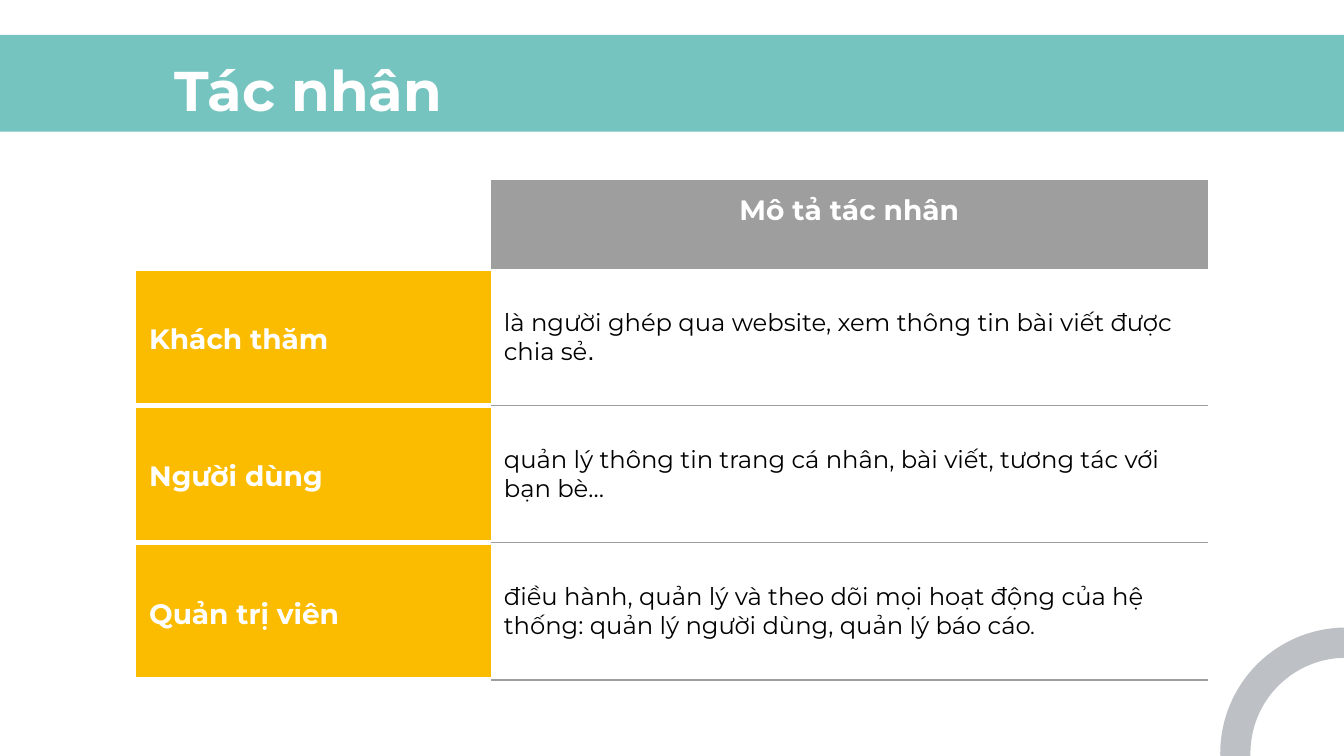
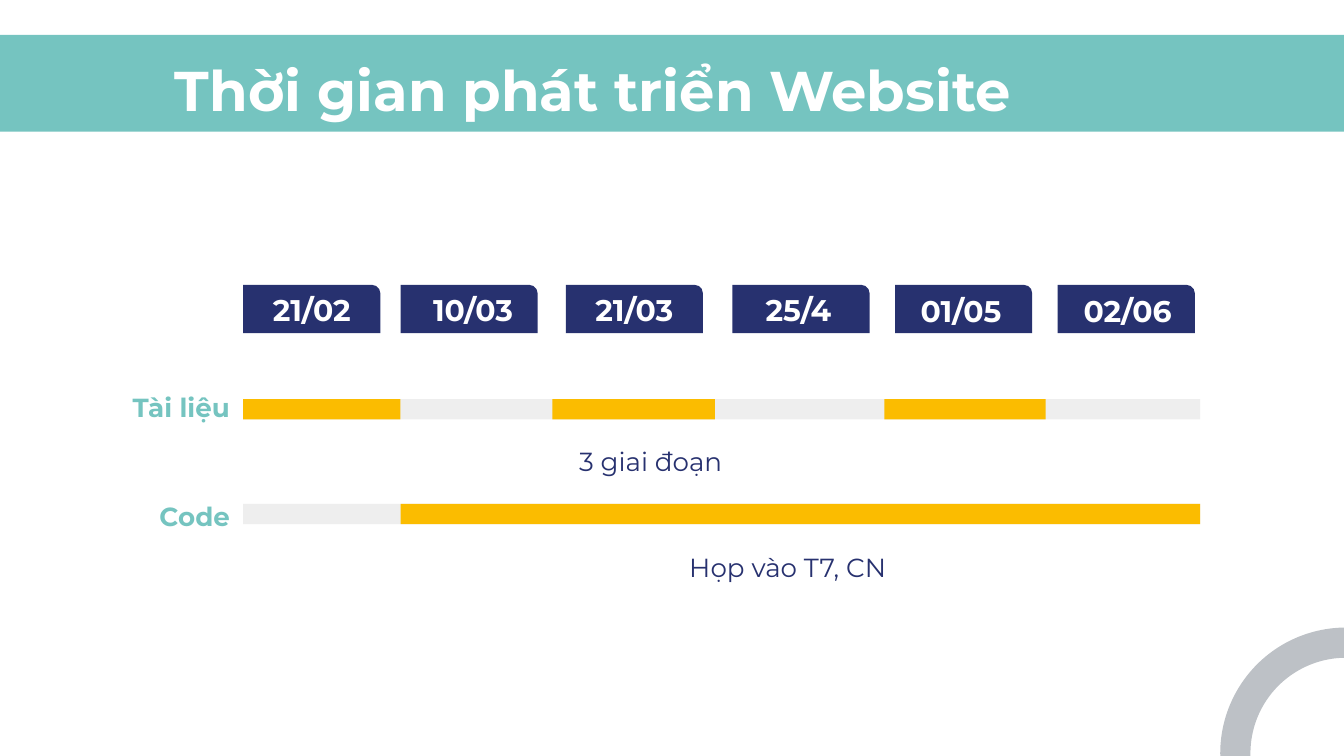
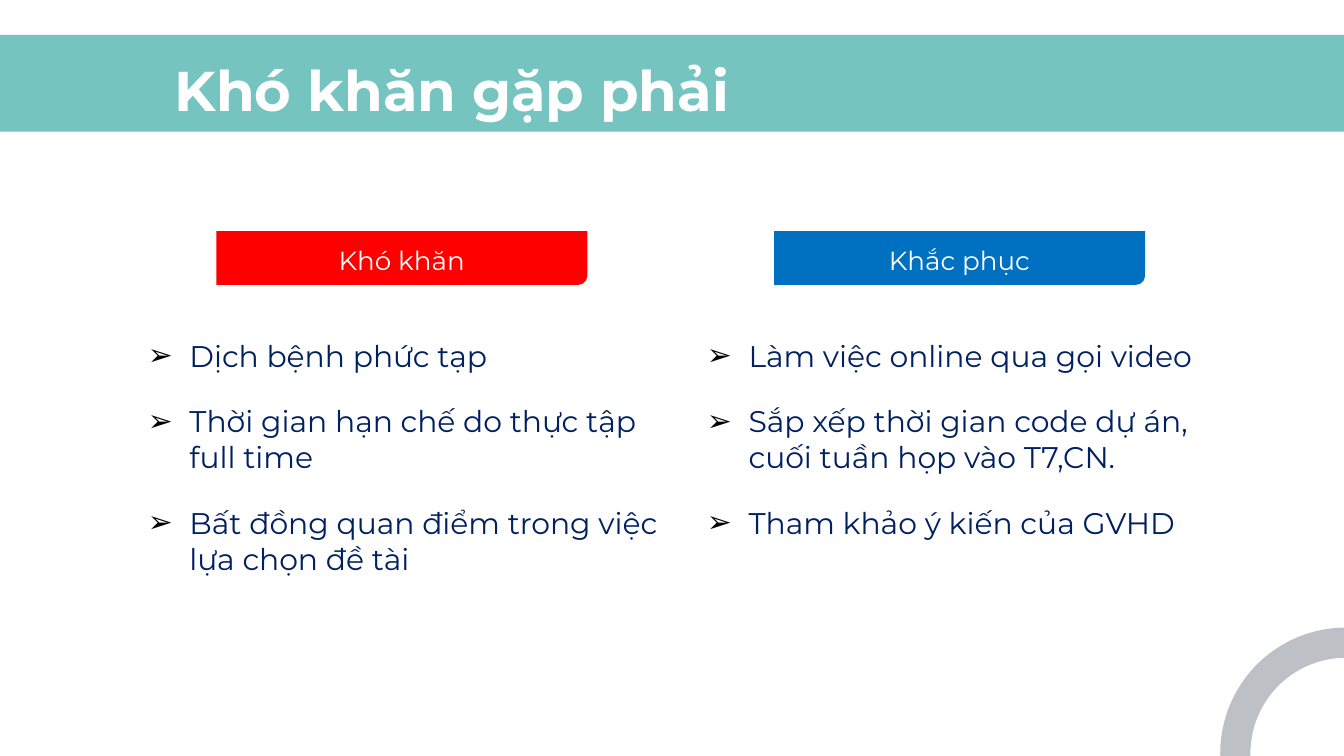
"""Build three project slides: actors, website schedule and difficulties."""
import lxml.etree
import pptx
import pptx.dml.color
import pptx.enum.shapes
import pptx.enum.text
import pptx.oxml.ns
import pptx.util

Inches = pptx.util.Inches
Pt = pptx.util.Pt
ALIGN = pptx.enum.text.PP_ALIGN
ANCHOR = pptx.enum.text.MSO_ANCHOR
SHAPE = pptx.enum.shapes.MSO_SHAPE

COLORS = {
    "teal": "75C4C0", "silver": "BDC1C6", "white": "FFFFFF", "black": "000000",
    "gray": "9E9E9E", "pale": "EEEEEE", "yellow": "FBBC00", "navy": "27316F",
    "ink": "002060", "red": "FF0000", "blue": "0070C0",
}
FONT = "Montserrat"
INSET = 0.1
SLIDE_WIDTH = Inches(10)
SLIDE_HEIGHT = SLIDE_WIDTH * 9 // 16

TITLE = {"size": Pt(30), "color": "white", "bold": True}
HEADING = {"size": Pt(15), "color": "white", "bold": True}
DESCRIPTION = {"size": Pt(13), "color": "black", "bold": False}
DATE = {"size": Pt(16), "color": "white", "bold": True}
ROW_NAME = {"size": Pt(14), "color": "teal", "bold": True}
NOTE = {"size": Pt(14), "color": "navy"}
BANNER = {"size": Pt(14), "color": "white"}
ITEM = {"size": Pt(16), "color": "ink"}

ACTORS_TITLE = "Tác nhân"
ACTORS_HEADING = "Mô tả tác nhân"
ACTORS = [
    ("Khách thăm", [
        ("là người ghép qua website, xem thông tin bài viết được chia sẻ", {}),
        (".", {"size": Pt(14), "name": "Arial"})]),
    ("Người dùng", [
        ("quản lý thông tin trang cá nhân, bài viết, tương tác với bạn bè…", {})]),
    ("Quản trị viên", [
        ("điều hành, quản lý và theo dõi mọi hoạt động của hệ thống: "
         "quản lý người dùng, quản lý báo cáo", {}),
        (".", {"size": Pt(12)})]),
]
COLUMN_WIDTHS = [2.64, 5.34]
ROW_HEIGHTS = [0.66, 1.02, 1.02, 1.02]

SCHEDULE_TITLE = "Thời gian phát triển Website"
DATES = [
    ("21/02", 1.81, 1.81, 2.07), ("10/03", 2.98, 3.01, 2.07),
    ("21/03", 4.21, 4.21, 2.07), ("25/4", 5.45, 5.43, 2.07),
    ("01/05", 6.66, 6.64, 2.08), ("02/06", 7.87, 7.88, 2.08),
]
TRACK_LEFT, TRACK_WIDTH = 1.81, 7.12
TRACKS = [
    {"name": "Tài liệu", "top": 2.97, "label": (0.68, 2.81, 1.13, 0.39), "spacing": 1.0,
     "periods": [(1.81, 1.17), (4.11, 1.21), (6.58, 1.2)],
     "note": "3 giai đoạn", "note_box": (4.21, 3.26, 1.38, 0.34)},
    {"name": "Code", "top": 3.75, "label": (0.86, 3.59, 0.95, 0.39), "spacing": 1.15,
     "periods": [(2.98, 5.95)],
     "note": "Họp vào T7, CN", "note_box": (5.03, 4.05, 1.85, 0.34)},
]

PROBLEMS_TITLE = "Khó khăn gặp phải"
PROBLEM_COLUMNS = [
    ("Khó khăn", "red", 1.61, 1.1, [
        "Dịch bệnh phức tạp",
        "Thời gian hạn chế do thực tập full time",
        "Bất đồng quan điểm trong việc lựa chọn đề tài"]),
    ("Khắc phục", "blue", 5.76, 5.26, [
        "Làm việc online qua gọi video",
        "Sắp xếp thời gian code dự án, cuối tuần họp vào T7,CN.",
        "Tham khảo ý kiến của GVHD"]),
]


def rgb(color):
    return pptx.dml.color.RGBColor.from_string(COLORS[color])


def set_values(target, values):
    for name, value in values.items():
        setattr(target, name, value)


def place(shape, box):
    set_values(shape, dict(zip(("left", "top", "width", "height"), map(Inches, box))))


def format_font(font, values):
    values = {"name": FONT, **values}
    font.color.rgb = rgb(values.pop("color"))
    set_values(font, values)


def write_runs(paragraph, runs, style, layout=None):
    set_values(paragraph, layout or {})
    for text, changes in runs:
        run = paragraph.add_run()
        run.text = text
        format_font(run.font, {**style, **changes})


def set_margins(target, left=INSET):
    set_values(target, {"margin_left": Inches(left), "margin_top": Inches(INSET),
                        "margin_right": Inches(INSET), "margin_bottom": Inches(INSET)})


def prepare_frame(frame, left=INSET, anchor=ANCHOR.TOP):
    set_margins(frame, left)
    set_values(frame, {"word_wrap": True, "vertical_anchor": anchor,
                       "auto_size": pptx.enum.text.MSO_AUTO_SIZE.NONE})


def add_label(slide, text, box, style, layout, anchor=ANCHOR.TOP):
    frame = slide.shapes.add_textbox(*map(Inches, box)).text_frame
    prepare_frame(frame, anchor=anchor)
    write_runs(frame.paragraphs[0], [(text, {})], style, layout)


def add_block(slide, kind, box, color, adjustments=()):
    shape = slide.shapes.add_shape(kind, *map(Inches, box))
    shape.shadow.inherit = False
    shape.fill.solid()
    shape.fill.fore_color.rgb = rgb(color)
    shape.line.fill.background()
    for index, value in enumerate(adjustments):
        shape.adjustments[index] = value
    return shape


def add_slide(presentation, layout_name, title):
    layout = presentation.slide_layouts.get_by_name(layout_name)
    slide = presentation.slides.add_slide(layout)
    place(slide.shapes.title, (1.2, 0.31, 8.46, 0.63))
    frame = slide.shapes.title.text_frame
    prepare_frame(frame)
    write_runs(frame.paragraphs[0], [(title, {})], TITLE, {"alignment": ALIGN.LEFT})
    return slide


def decorate_master(presentation, slide):
    band = add_block(slide, SHAPE.RECTANGLE, (-0.17, 0.26, 10.34, 0.72), "teal")
    arc = add_block(slide, SHAPE.BLOCK_ARC, (9.08, 4.67, 1.87, 1.87), "silver",
                    (106.77, 163.22, 0.12))
    master_title = presentation.slide_master.placeholders[0].element
    for shape in (band, arc):
        master_title.addprevious(shape.element)


def add_child(parent, tag, **attributes):
    return lxml.etree.SubElement(parent, pptx.oxml.ns.qn(tag), attributes)


def set_borders(cell, borders):
    properties = cell._tc.get_or_add_tcPr()
    for position, side in enumerate("LRTB"):
        color, width = borders.get(side, (None, 0))
        line = add_child(properties, f"a:ln{side}", w=str(Pt(width)))
        if color:
            add_child(add_child(line, "a:solidFill"), "a:srgbClr", val=COLORS[color])
        else:
            add_child(line, "a:noFill")
        properties.insert(position, line)


def fill_cell(cell, color, borders, runs, style, layout, anchor=ANCHOR.MIDDLE):
    set_margins(cell)
    cell.vertical_anchor = anchor
    if color:
        cell.fill.solid()
        cell.fill.fore_color.rgb = rgb(color)
    else:
        cell.fill.background()
    set_borders(cell, borders)
    write_runs(cell.text_frame.paragraphs[0], runs, style, layout)


def fill_actors(slide):
    box = (1.01, 1.34, sum(COLUMN_WIDTHS), sum(ROW_HEIGHTS))
    table = slide.shapes.add_table(len(ROW_HEIGHTS), len(COLUMN_WIDTHS),
                                   *map(Inches, box)).table
    set_values(table, {"first_row": False, "horz_banding": False})
    for column, width in zip(table.columns, COLUMN_WIDTHS):
        column.width = Inches(width)
    for row, height in zip(table.rows, ROW_HEIGHTS):
        row.height = Inches(height)
    thick, thin = ("white", 3), ("gray", 0.75)
    fill_cell(table.cell(0, 0), None, {"B": thick}, [], HEADING, {})
    fill_cell(table.cell(0, 1), "gray", {}, [(ACTORS_HEADING, {})], HEADING,
              {"alignment": ALIGN.CENTER}, ANCHOR.TOP)
    for row, (actor, runs) in enumerate(ACTORS, 1):
        fill_cell(table.cell(row, 0), "yellow", {"T": thick, "B": thick},
                  [(actor, {})], HEADING, {"line_spacing": 1.15})
        lines = {"B": thin} if row == 1 else {"T": thin, "B": thin}
        fill_cell(table.cell(row, 1), None, lines, runs, DESCRIPTION, {})


def fill_schedule(slide):
    after = {"space_after": Pt(16)}
    for date, tab_left, label_left, label_top in DATES:
        add_block(slide, SHAPE.ROUND_1_RECTANGLE, (tab_left, 2.12, 1.02, 0.36),
                  "navy", (0.17,))
        add_label(slide, date, (label_left, label_top, 1.02, 0.42), DATE,
                  {**after, "alignment": ALIGN.CENTER})
    for track in TRACKS:
        bars = [(TRACK_LEFT, TRACK_WIDTH, "pale")]
        bars += [(left, width, "yellow") for left, width in track["periods"]]
        for left, width, color in bars:
            add_block(slide, SHAPE.RECTANGLE, (left, track["top"], width, 0.15), color)
        add_label(slide, track["name"], track["label"], ROW_NAME,
                  {**after, "alignment": ALIGN.RIGHT, "line_spacing": track["spacing"]})
        add_label(slide, track["note"], track["note_box"], NOTE, after, ANCHOR.MIDDLE)


def add_bullet(paragraph):
    properties = paragraph._p.get_or_add_pPr()
    indent = Inches(0.31)
    properties.set("marL", str(indent))
    properties.set("indent", str(-indent))
    add_child(add_child(properties, "a:buClr"), "a:srgbClr", val=COLORS["black"])
    add_child(properties, "a:buFont", typeface="Arial")
    add_child(properties, "a:buChar", char="➢")


def fill_problems(slide):
    width, height, top = 2.76, 0.4, 1.72
    shift = (width - height) / 2
    for index, column in enumerate(PROBLEM_COLUMNS, 1):
        heading, color, banner_left, list_left, items = column
        body = slide.placeholders[index]
        place(body, (list_left, 2.41, 3.91, 2.75))
        frame = body.text_frame
        prepare_frame(frame, left=0)
        for number, item in enumerate(items):
            paragraph = frame.add_paragraph() if number else frame.paragraphs[0]
            add_bullet(paragraph)
            write_runs(paragraph, [(item, {})], ITEM,
                       {"space_before": Pt(0), "space_after": Pt(16)})
        banner = add_block(slide, SHAPE.ROUND_1_RECTANGLE,
                           (banner_left + shift, top - shift, height, width),
                           color, (0.17,))
        banner.rotation = 90
        add_label(slide, heading, (banner_left, top, width, height), BANNER,
                  {"alignment": ALIGN.CENTER})


def main():
    presentation = pptx.Presentation()
    set_values(presentation, {"slide_width": SLIDE_WIDTH, "slide_height": SLIDE_HEIGHT})
    actors = add_slide(presentation, "Title Only", ACTORS_TITLE)
    decorate_master(presentation, actors)
    fill_actors(actors)
    fill_schedule(add_slide(presentation, "Title Only", SCHEDULE_TITLE))
    fill_problems(add_slide(presentation, "Two Content", PROBLEMS_TITLE))
    presentation.save("out.pptx")


if __name__ == "__main__":
    main()
